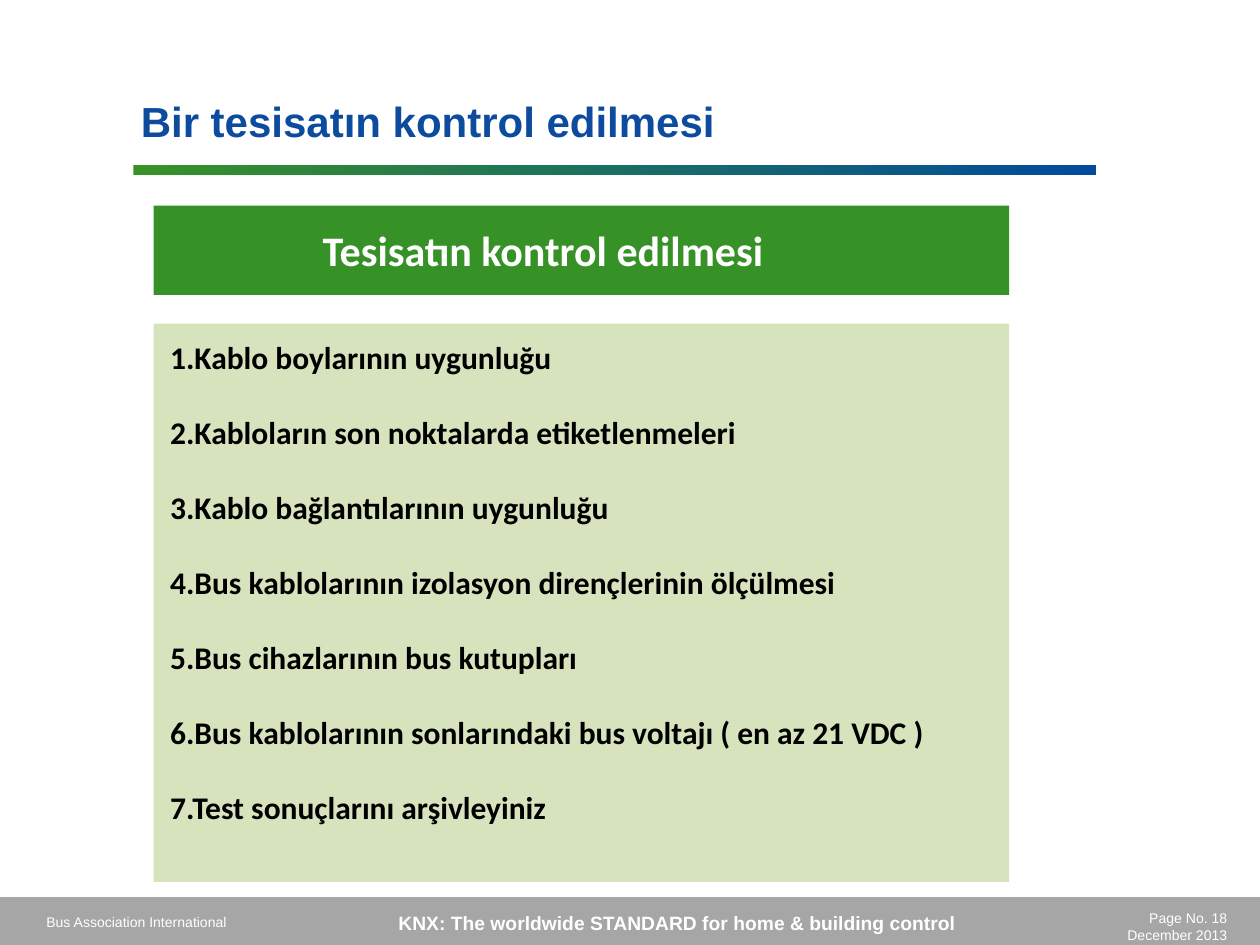
from dataclasses import dataclass

from pptx import Presentation
from pptx.dml.color import RGBColor
from pptx.enum.shapes import MSO_SHAPE
from pptx.enum.text import MSO_ANCHOR, PP_ALIGN
from pptx.util import Pt

RECT = MSO_SHAPE.RECTANGLE
LEFT, MID, RIGHT = PP_ALIGN.LEFT, PP_ALIGN.CENTER, PP_ALIGN.RIGHT
TOP, CENTER = MSO_ANCHOR.TOP, MSO_ANCHOR.MIDDLE

HEX = {
    "gray": "A6A6A6",
    "green": "369226",
    "blue": "014B9D",
    "title": "0C4B9D",
    "pale": "D6E3BC",
    "white": "FFFFFF",
    "black": "000000",
}

CHECKS = [
    "Kablo boylarının uygunluğu",
    "Kabloların son noktalarda etiketlenmeleri",
    "Kablo bağlantılarının uygunluğu",
    "Bus kablolarının izolasyon dirençlerinin ölçülmesi",
    "Bus cihazlarının bus kutupları",
    "Bus kablolarının sonlarındaki bus voltajı ( en az 21 VDC )",
    "Test sonuçlarını arşivleyiniz",
]


@dataclass
class Bar:
    x: float
    y: float
    w: float
    h: float
    color: str
    fade: str = ""


@dataclass
class Label:
    x: float
    y: float
    w: float
    h: float
    lines: list[list[str]]
    size: float
    color: str = "white"
    font: str = "Arial"
    bold: bool = True
    align: PP_ALIGN = LEFT
    anchor: MSO_ANCHOR = TOP
    inset: tuple[float, float] = (7.2, 3.6)
    gap: float = 0


BARS = [
    Bar(0, 512.6, 720, 27.4, "gray"),             # footer band
    Bar(76.3, 94.3, 550.1, 5.8, "green", "blue"),  # rule under the title
    Bar(87.8, 185, 488.9, 319, "pale"),           # list panel
    Bar(87.8, 117.5, 488.9, 51, "green"),         # heading panel
]

LABELS = [
    # Footer
    Label(19.4, 518.4, 164.2, 17.3, [["Bus Association International"]], 8,
          bold=False),
    Label(626.4, 516.2, 82.1, 23.8, [["Page No. 18"], ["December 2013"]], 8,
          bold=False, align=RIGHT),
    Label(126, 517, 522, 20.9,
          [["KNX: The worldwide STANDARD for home & building control"]], 11,
          align=MID),
    # Title
    Label(73.4, 49, 550.1, 39.6, [["Bir tesisatın kontrol edilmesi"]], 24,
          color="title", anchor=CENTER),
    # Heading
    Label(184.3, 128.2, 284.4, 28.8, [["Tesisatın kontrol edilmesi"]], 24,
          font="Calibri", inset=(0, 0)),
    # Checklist
    Label(97.2, 193.3, 470, 281,
          [[f"{num}.", text] for num, text in enumerate(CHECKS, 1)], 18,
          color="black", font="Calibri", inset=(0, 0), gap=21.2),
]


def rgb(name: str) -> RGBColor:
    return RGBColor.from_string(HEX[name])


def draw_bar(slide, bar: Bar) -> None:
    shape = slide.shapes.add_shape(
        RECT, Pt(bar.x), Pt(bar.y), Pt(bar.w), Pt(bar.h))
    shape.shadow.inherit = False
    shape.line.fill.background()
    if bar.fade:
        shape.fill.gradient()
        shape.fill.gradient_angle = 0
        for stop, name in zip(shape.fill.gradient_stops,
                              (bar.color, bar.fade)):
            stop.color.rgb = rgb(name)
    else:
        shape.fill.solid()
        shape.fill.fore_color.rgb = rgb(bar.color)


def draw_label(slide, label: Label) -> None:
    box = slide.shapes.add_textbox(
        Pt(label.x), Pt(label.y), Pt(label.w), Pt(label.h))
    frame = box.text_frame
    frame.word_wrap = True
    frame.vertical_anchor = label.anchor
    side, edge = label.inset
    frame.margin_left = frame.margin_right = Pt(side)
    frame.margin_top = frame.margin_bottom = Pt(edge)
    for row, parts in enumerate(label.lines):
        para = frame.add_paragraph() if row else frame.paragraphs[0]
        para.alignment = label.align
        if row and label.gap:
            para.space_before = Pt(label.gap)
        for part in parts:
            run = para.add_run()
            run.text = part
            run.font.name = label.font
            run.font.size = Pt(label.size)
            run.font.bold = label.bold
            run.font.color.rgb = rgb(label.color)


def main() -> None:
    deck = Presentation()
    deck.slide_width, deck.slide_height = Pt(720), Pt(540)
    slide = deck.slides.add_slide(deck.slide_layouts[6])
    for bar in BARS:
        draw_bar(slide, bar)
    for label in LABELS:
        draw_label(slide, label)
    deck.save("out.pptx")


if __name__ == "__main__":
    main()
